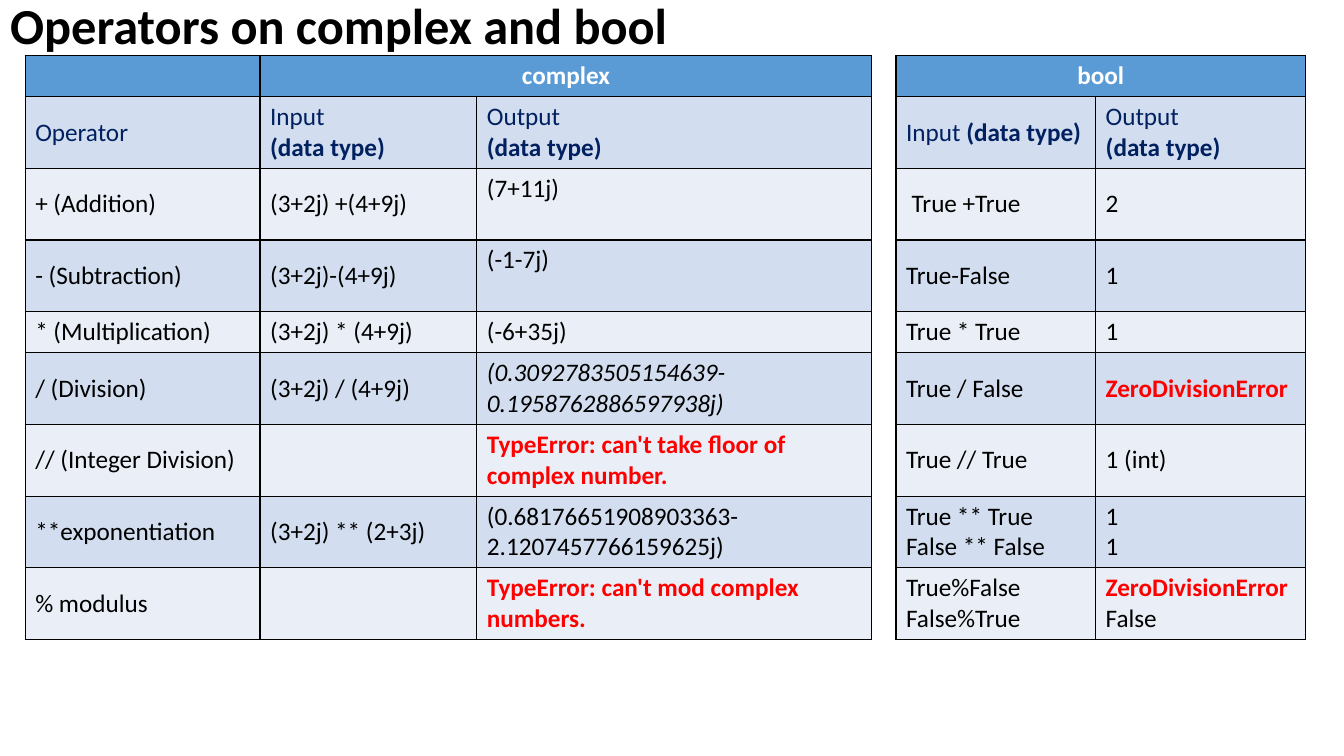
"""Build a slide comparing Python operators on complex and bool values."""
from lxml import etree
from pptx import Presentation
from pptx.dml.color import RGBColor
from pptx.enum.text import MSO_ANCHOR, PP_ALIGN
from pptx.oxml.ns import qn
from pptx.util import Pt

BLACK = RGBColor(0, 0, 0)
WHITE = RGBColor(255, 255, 255)
NAVY = RGBColor(0x00, 0x20, 0x60)
RED = RGBColor(255, 0, 0)
HEADER_BLUE = RGBColor(0x5B, 0x9B, 0xD5)
BAND_DARK = RGBColor(0xD2, 0xDE, 0xEF)
BAND_LIGHT = RGBColor(0xEA, 0xEF, 0xF7)

GAP_COLUMN = 3
COLUMN_WIDTHS = [167.8, 154.8, 282.2, 16.6, 142.6, 149.8]
SHORT_ROW, TALL_ROW = 29.4, 51.2
SHORT_ROWS = (0, 4)
TOP_ANCHORED = ((2, 2), (3, 2))

BODY = (BLACK, False, False)
ITALIC = (BLACK, False, True)
HEAD = (WHITE, True, False)
LABEL = (NAVY, False, False)
LABEL_BOLD = (NAVY, True, False)
ERROR = (RED, True, False)


def lines(*texts, style=BODY):
    """Return one single-run paragraph per text."""
    return [[(text, style)] for text in texts]


def typed(name):
    """Return a column label with its data type note on a second line."""
    return lines(name, style=LABEL) + lines("(data type)", style=LABEL_BOLD)


def error(text):
    """Return an error message paragraph."""
    return lines(text, style=ERROR)


EMPTY = []
ROWS = [
    [EMPTY, lines("complex", style=HEAD), EMPTY, EMPTY, lines("bool", style=HEAD), EMPTY],
    [lines("Operator", style=LABEL), typed("Input"), typed("Output"), EMPTY,
     [[("Input ", LABEL), ("(data type)", LABEL_BOLD)]], typed("Output")],
    [lines("+ (Addition)"), lines("(3+2j) +(4+9j)"), lines("(7+11j)"), EMPTY,
     lines(" True +True"), lines("2")],
    [lines("- (Subtraction)"), lines("(3+2j)-(4+9j)"), lines("(-1-7j)"), EMPTY,
     lines("True-False"), lines("1")],
    [lines("* (Multiplication)"), lines("(3+2j) * (4+9j)"), lines("(-6+35j)"), EMPTY,
     lines("True * True"), lines("1")],
    [lines("/ (Division)"), lines("(3+2j) / (4+9j)"),
     lines("(0.3092783505154639-0.1958762886597938j)", style=ITALIC), EMPTY,
     lines("True / False"), error("ZeroDivisionError")],
    [lines("// (Integer Division)"), EMPTY,
     error("TypeError: can't take floor of complex number."), EMPTY,
     lines("True // True"), lines("1 (int)")],
    [lines("**exponentiation"), lines("(3+2j) ** (2+3j)"),
     lines("(0.68176651908903363-2.1207457766159625j)"), EMPTY,
     lines("True ** True", "False ** False"), lines("1", "1")],
    [lines("% modulus"), EMPTY, error("TypeError: can't mod complex numbers."), EMPTY,
     lines("True%False", "False%True"), error("ZeroDivisionError") + lines("False")],
]


def add_run(paragraph, text, size, style):
    """Append a run in the theme font with a (colour, bold, italic) style."""
    run = paragraph.add_run()
    run.text = text
    font = run.font
    font.size = Pt(size)
    font.color.rgb, font.bold, font.italic = style


def set_borders(cell, sides):
    """Draw black borders on the named sides and clear the others."""
    properties = cell._tc.get_or_add_tcPr()
    for side in "LRTB":
        line = etree.SubElement(properties, qn(f"a:ln{side}"), w=str(Pt(1)))
        if side in sides:
            fill = etree.SubElement(line, qn("a:solidFill"))
            etree.SubElement(fill, qn("a:srgbClr"), val=str(BLACK))
        else:
            etree.SubElement(line, qn("a:noFill"))


def write_cell(cell, paragraphs, alignment):
    """Fill a cell with paragraphs of styled runs."""
    frame = cell.text_frame
    for index, runs in enumerate(paragraphs):
        paragraph = frame.add_paragraph() if index else frame.paragraphs[0]
        paragraph.alignment = alignment
        for text, style in runs:
            add_run(paragraph, text, 18, style)


def format_cell(cell, row, column):
    """Set the borders, fill and anchor that belong to a table position."""
    top = (row, column) in TOP_ANCHORED
    cell.vertical_anchor = MSO_ANCHOR.TOP if top else MSO_ANCHOR.MIDDLE
    if column == GAP_COLUMN:
        set_borders(cell, "LR")
        cell.fill.background()
        return
    set_borders(cell, "LRTB")
    cell.fill.solid()
    band = BAND_DARK if row % 2 else BAND_LIGHT
    cell.fill.fore_color.rgb = band if row else HEADER_BLUE


def add_title(slide, text):
    """Place and format the title placeholder."""
    title = slide.shapes.title
    title.left, title.top, title.width, title.height = Pt(0), Pt(0), Pt(557), Pt(39.6)
    frame = title.text_frame
    frame.word_wrap = True
    frame.vertical_anchor = MSO_ANCHOR.MIDDLE
    paragraph = frame.paragraphs[0]
    paragraph.alignment = PP_ALIGN.LEFT
    paragraph.line_spacing = 0.9
    add_run(paragraph, text, 36, (BLACK, True, False))


def add_operator_table(slide):
    """Add the operator table with its two merged group headings."""
    heights = [SHORT_ROW if row in SHORT_ROWS else TALL_ROW for row in range(len(ROWS))]
    table = slide.shapes.add_table(
        len(ROWS), len(COLUMN_WIDTHS), Pt(18), Pt(39.6),
        Pt(sum(COLUMN_WIDTHS)), Pt(sum(heights))).table
    table.first_row = table.horz_banding = False
    for column, width in zip(table.columns, COLUMN_WIDTHS):
        column.width = Pt(width)
    for row, height in zip(table.rows, heights):
        row.height = Pt(height)
    for row, contents in enumerate(ROWS):
        for column, paragraphs in enumerate(contents):
            cell = table.cell(row, column)
            format_cell(cell, row, column)
            write_cell(cell, paragraphs, PP_ALIGN.LEFT if row else PP_ALIGN.CENTER)
    for first in (1, 4):
        table.cell(0, first).merge(table.cell(0, first + 1))


def main():
    """Build and save the presentation."""
    presentation = Presentation()
    presentation.slide_width, presentation.slide_height = Pt(960), Pt(540)
    slide = presentation.slides.add_slide(presentation.slide_layouts[5])
    add_title(slide, "Operators on complex and bool")
    add_operator_table(slide)
    presentation.save("out.pptx")


main()
